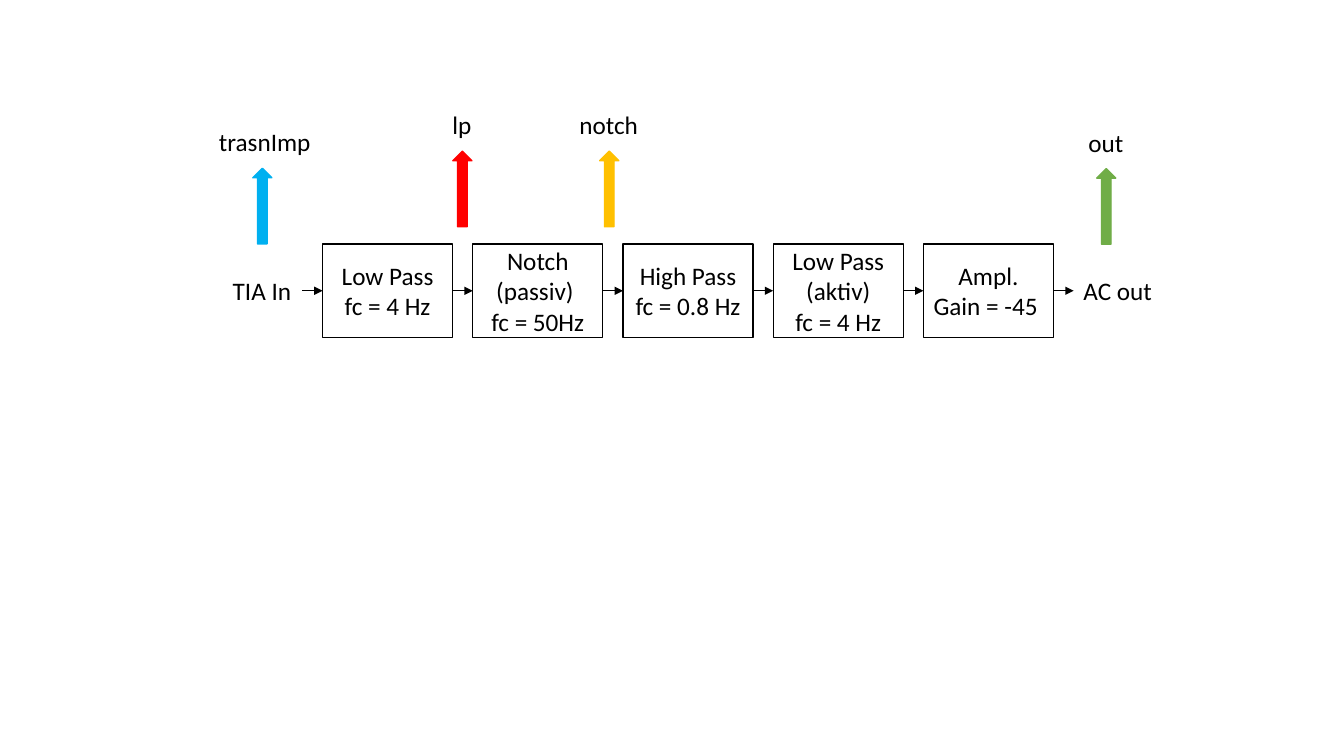
import pptx
import pptx.util
import pptx.oxml
import pptx.oxml.ns
import pptx.dml.color
import pptx.enum.shapes
import pptx.enum.text
import lxml.etree

Pt = pptx.util.Pt
SHAPES = pptx.enum.shapes.MSO_SHAPE
ALIGN = pptx.enum.text.PP_ALIGN
qn = pptx.oxml.ns.qn

# Content
stages = [
    ("Low Pass", "fc = 4 Hz"),
    ("Notch (passiv) ", "fc = 50Hz"),
    ("High Pass", "fc = 0.8 Hz"),
    ("Low Pass (aktiv)", "fc = 4 Hz"),
    ("Ampl.", "Gain = -45 "),
]
# name, colour, arrow left, arrow top, label left, label top, label width, wrap, alignment
probes = [
    ("trasnImp", "00B0F0", 180.6, 120.2, 142.6, 86.4, 92.9, True, ALIGN.CENTER),
    ("lp", "FF0000", 323.5, 108, 316.1, 74.2, 28.1, False, ALIGN.LEFT),
    ("notch", "FFC000", 428.4, 108, 406.8, 74.2, 56.9, False, ALIGN.LEFT),
    ("out", "70AD47", 783.4, 120.4, 770.4, 87.1, 39.6, False, ALIGN.LEFT),
]
ports = [("TIA In", 159.1, 56.9), ("AC out", 766.8, 110.2)]

# Layout of the chain
chain_left, chain_top = 230.4, 174.2
stage_width, stage_height, gap = 92.9, 67, 14.4
pitch = stage_width + gap
axis = chain_top + stage_height / 2
label_height = 28.8
probe_width, probe_height = 13.6, 54

deck = pptx.Presentation()
deck.slide_width, deck.slide_height = Pt(960), Pt(540)
slide = deck.slides.add_slide(deck.slide_layouts[6])


def colour(hex_code):
    return pptx.dml.color.RGBColor.from_string(hex_code)


def apply(target, formats):
    for name, value in formats.items():
        setattr(target, name, value)


def write(frame, lines, align, **formats):
    apply(frame, formats)
    for i, line in enumerate(lines):
        paragraph = frame.paragraphs[0] if i == 0 else frame.add_paragraph()
        paragraph.alignment = align
        run = paragraph.add_run()
        run.text = line
        apply(run.font, {"size": Pt(18), "name": "Calibri"})
        run.font.color.rgb = colour("000000")


def add_block(preset, box, fill, line):
    block = slide.shapes.add_shape(preset, *map(Pt, box))
    block.shadow.inherit = False
    block.fill.solid()
    block.fill.fore_color.rgb = colour(fill)
    block.line.color.rgb = colour(line)
    block.line.width = Pt(1)
    return block


def add_label(text, box, wrap=True, align=ALIGN.LEFT):
    label = slide.shapes.add_textbox(*map(Pt, box))
    write(label.text_frame, [text], align, word_wrap=wrap,
          auto_size=pptx.enum.text.MSO_AUTO_SIZE.SHAPE_TO_FIT_TEXT)


def add_flow(left):
    flow = slide.shapes.add_connector(pptx.enum.shapes.MSO_CONNECTOR.STRAIGHT,
                                      Pt(left), Pt(axis), Pt(left + gap), Pt(axis))
    flow.line.color.rgb = colour("000000")
    flow.line.width = Pt(0.5)
    lxml.etree.SubElement(flow.line._get_or_add_ln(), qn("a:tailEnd"), type="triangle")
    lxml.etree.SubElement(flow._element.spPr, qn("a:effectLst"))


# Filter stages
for i, lines in enumerate(stages):
    stage = add_block(SHAPES.RECTANGLE,
                      (chain_left + i * pitch, chain_top, stage_width, stage_height),
                      "FFFFFF", "000000")
    write(stage.text_frame, lines, ALIGN.CENTER, word_wrap=True,
          vertical_anchor=pptx.enum.text.MSO_ANCHOR.MIDDLE)

# Signal flow into, between and out of the stages
for i in range(len(stages) + 1):
    add_flow(chain_left - gap + i * pitch)

# Input and output
for name, left, width in ports:
    add_label(name, (left, axis - label_height / 2, width, label_height))

# Probe points
for name, tint, left, top, label_left, label_top, label_width, wrap, align in probes:
    add_block(SHAPES.UP_ARROW, (left, top, probe_width, probe_height), tint, tint)
    add_label(name, (label_left, label_top, label_width, label_height), wrap, align)

deck.save("out.pptx")
